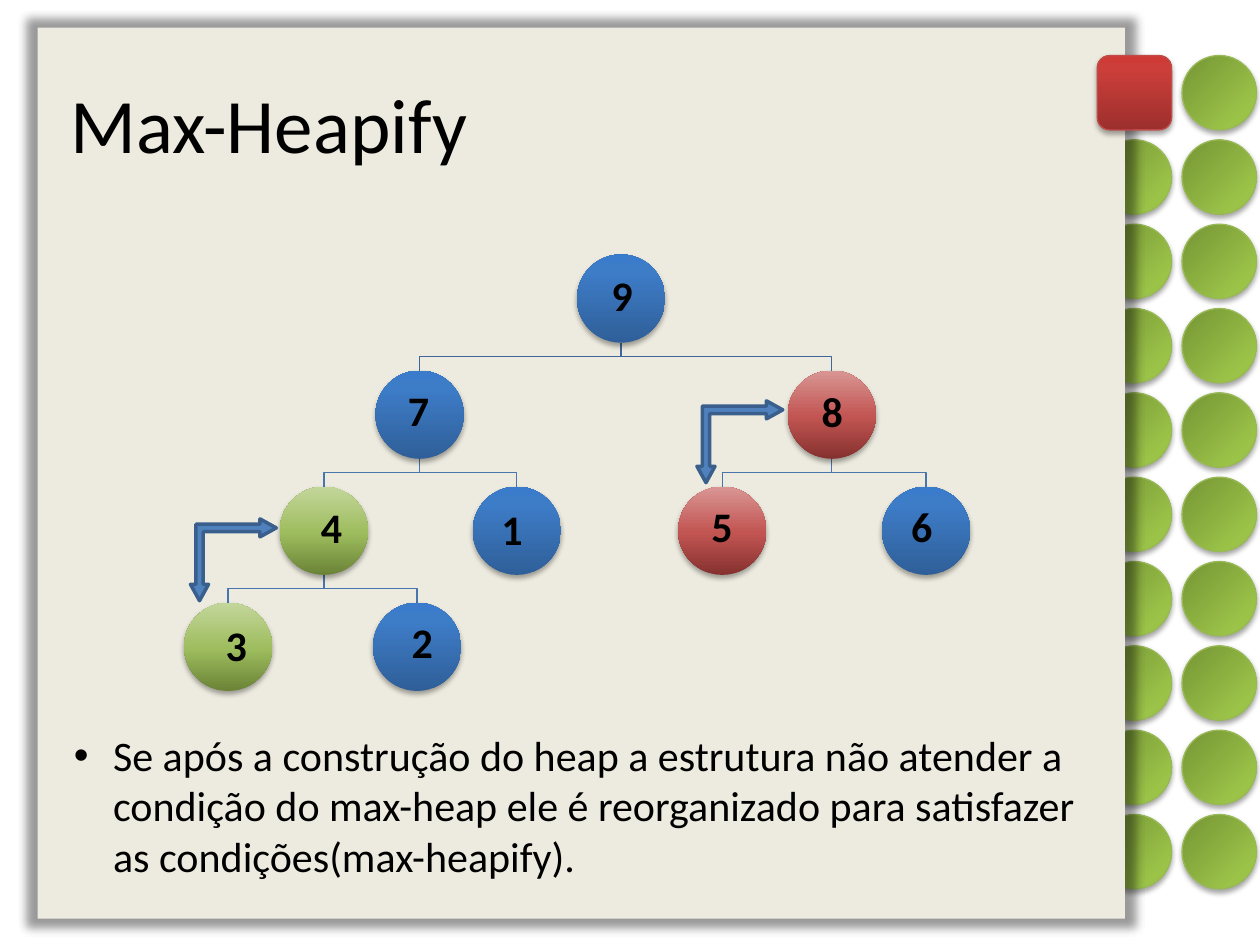
from lxml import etree
from pptx import Presentation
from pptx.dml.color import RGBColor
from pptx.enum import shapes, text
from pptx.oxml import ns
from pptx.util import Cm, Pt

BLACK = RGBColor(0x00, 0x00, 0x00)
PANEL = RGBColor(0xED, 0xEB, 0xDF)
DOT_LINE = RGBColor(0x98, 0xB9, 0x55)
BADGE_LINE = RGBColor(0xBF, 0x4C, 0x48)
ROOT_EDGE = RGBColor(0x3F, 0x67, 0x97)
EDGE = RGBColor(0x48, 0x75, 0xAC)
SWAP_FILL = RGBColor(0x4F, 0x81, 0xBD)
SWAP_LINE = RGBColor(0x3A, 0x5F, 0x8C)


def stops(*pairs):
    return [(place, RGBColor.from_string(color)) for place, color in pairs]


BLUE = stops((0, "2F5F99"), (80, "3D7CC7"), (100, "3A7CCB"))
GREEN = stops((0, "6A8336"), (48, "9EBD5E"), (100, "C3D69B"))
RED = stops((0, "85312F"), (48, "C25552"), (100, "D99694"))
BADGE = stops((0, "9C2F2D"), (80, "CB3E3A"), (100, "CE3B37"))
DOT = stops((0, "769535"), (80, "9BC348"), (100, "9CC746"))

SOFT = dict(blurRad=Pt(3.1), dist=Pt(1.8), dir=90 * 60000)
HALO = dict(blurRad=Pt(5), sx=102000, sy=102000, algn="ctr")


def add_xml(parent, tag, **attributes):
    return etree.SubElement(parent, ns.qn(tag),
                            {key: str(value) for key, value in attributes.items()})


def write(frame, words, size=24, bold=False, align=None, spacing=None, bullet=None):
    paragraph = frame.paragraphs[0]
    paragraph.alignment = align
    paragraph.line_spacing = spacing
    run = paragraph.add_run()
    run.text = words
    run.font.name, run.font.size, run.font.bold = "Calibri", Pt(size), bold
    run.font.color.rgb = BLACK
    if bullet:
        properties = paragraph._p.get_or_add_pPr()
        properties.set("marL", str(Cm(0.79)))
        properties.set("indent", str(Cm(-0.79)))
        add_xml(properties, "a:buFont", typeface="Arial")
        add_xml(properties, "a:buChar", char=bullet)


class Slide:
    def __init__(self, deck):
        self.shapes = deck.slides.add_slide(deck.slide_layouts[6]).shapes

    def style(self, item, fill=None, line=None, weight=0.75, shadow=None,
              opacity=35, angle=270):
        item.shadow.inherit = False
        if isinstance(fill, RGBColor):
            item.fill.solid()
            item.fill.fore_color.rgb = fill
        else:
            item.fill.background()
        if isinstance(fill, list):
            gradient = etree.Element(ns.qn("a:gradFill"), rotWithShape="1")
            ramp = add_xml(gradient, "a:gsLst")
            for place, color in fill:
                add_xml(add_xml(ramp, "a:gs", pos=place * 1000), "a:srgbClr", val=color)
            add_xml(gradient, "a:lin", ang=angle * 60000, scaled=0)
            blank = item._element.spPr.find(ns.qn("a:noFill"))
            blank.getparent().replace(blank, gradient)
        if line is None:
            item.line.fill.background()
        else:
            item.line.color.rgb = line
            item.line.width = Pt(weight)
        if shadow:
            effects = item._element.spPr.find(ns.qn("a:effectLst"))
            cast = add_xml(effects, "a:outerShdw", rotWithShape=0, **shadow)
            add_xml(add_xml(cast, "a:srgbClr", val=BLACK), "a:alpha", val=opacity * 1000)

    def shape(self, kind, left, top, width, height, **style):
        item = self.shapes.add_shape(kind, Cm(left), Cm(top), Cm(width), Cm(height))
        self.style(item, **style)
        return item

    def circle(self, left, top, size, **style):
        self.shape(shapes.MSO_SHAPE.OVAL, left, top, size, size, shadow=SOFT, **style)

    def edge(self, start, end, color):
        (x1, y1), (x2, y2) = start, end
        middle = (y1 + y2) / 2
        outline = self.shapes.build_freeform(Cm(x1), Cm(y1))
        outline.add_line_segments(
            [(Cm(x), Cm(y)) for x, y in ((x1, middle), (x2, middle), (x2, y2))], close=False)
        self.style(outline.convert_to_shape(), line=color)

    def swap_arrow(self, left, top):
        arrow = self.shape(shapes.MSO_SHAPE.LEFT_UP_ARROW, left, top, 1.73, 1.65,
                           fill=SWAP_FILL, line=SWAP_LINE, weight=2)
        arrow.rotation = 180
        for index, value in enumerate((0.09, 0.11, 0.2)):
            arrow.adjustments[index] = value

    def text(self, words, left, top, width, height, anchor=text.MSO_ANCHOR.TOP,
             inset=None, **form):
        frame = self.shapes.add_textbox(Cm(left), Cm(top), Cm(width), Cm(height)).text_frame
        frame.word_wrap = True
        frame.vertical_anchor = anchor
        if inset is not None:
            frame.margin_left = frame.margin_right = Cm(inset)
            frame.margin_top = frame.margin_bottom = Cm(inset)
        write(frame, words, **form)


deck = Presentation()
deck.slide_width, deck.slide_height = Cm(25.4), Cm(19.05)
slide = Slide(deck)

# Side decoration: two columns of dots, the first place taken by the badge
DOT_SIZE, DOT_TOP, DOT_PITCH = 1.5, 1.12, 1.7
INNER, OUTER = 22.12, 23.83
for row in reversed(range(10)):
    for column in (OUTER, INNER) if row else (OUTER,):
        slide.circle(column, DOT_TOP + row * DOT_PITCH, DOT_SIZE,
                     fill=DOT, line=DOT_LINE, angle=45)
slide.shape(shapes.MSO_SHAPE.RECTANGLE, 0.76, 0.56, 21.92, 17.96,
            fill=PANEL, shadow=HALO, opacity=40)
slide.shape(shapes.MSO_SHAPE.ROUNDED_RECTANGLE, INNER, DOT_TOP, DOT_SIZE, DOT_SIZE,
            fill=BADGE, line=BADGE_LINE, shadow=SOFT)

# Heap: value -> parent, level, left, fill, label box
NODE, HEAP_TOP, LEVEL = 1.78, 5.13, 2.34
heap = {
    "9": (None, 0, 11.63, BLUE, (11.89, 5.51, 1.3, 0.99)),
    "7": ("9", 1, 7.57, BLUE, (7.85, 7.95, 1.17, 0.76)),
    "4": ("7", 2, 5.64, GREEN, (6.22, 10.39, 0.61, 0.58)),
    "3": ("4", 3, 3.71, GREEN, (4.32, 12.75, 0.48, 0.64)),
    "2": ("4", 3, 7.52, BLUE, (8.05, 12.55, 0.74, 0.91)),
    "1": ("7", 2, 9.53, BLUE, (9.86, 10.03, 1.14, 1.37)),
    "8": ("9", 1, 15.88, RED, (16.31, 7.85, 0.94, 0.99)),
    "5": ("8", 2, 13.67, RED, (14.02, 10.21, 1.07, 0.89)),
    "6": ("8", 2, 17.78, BLUE, (17.78, 10.01, 1.6, 1.3)),
}
for parent, level, left, _, _ in heap.values():
    if parent:
        child_top = HEAP_TOP + level * LEVEL
        start = heap[parent][2] + NODE / 2, child_top - LEVEL + NODE
        slide.edge(start, (left + NODE / 2, child_top), ROOT_EDGE if level == 1 else EDGE)
for value, (_, level, left, fill, label) in heap.items():
    slide.circle(left, HEAP_TOP + level * LEVEL, NODE, fill=fill)
    align = text.PP_ALIGN.LEFT if value == "1" else text.PP_ALIGN.CENTER
    slide.text(value, *label, anchor=text.MSO_ANCHOR.MIDDLE, inset=0.25,
               bold=True, align=align, spacing=0.9)

# Swaps
for left, top in ((3.84, 10.46), (14.05, 8.08)):
    slide.swap_arrow(left, top)

# Explanation and title
slide.text("Se após a construção do heap a estrutura não atender a condição do max-heap "
           "ele é reorganizado para satisfazer as condições(max-heapify).",
           1.24, 14.58, 21.06, 3.33, bullet="•")
slide.text("Max-Heapify", 1.17, 1.4, 11.43, 2.13, anchor=text.MSO_ANCHOR.MIDDLE, size=44)

deck.save("out.pptx")
